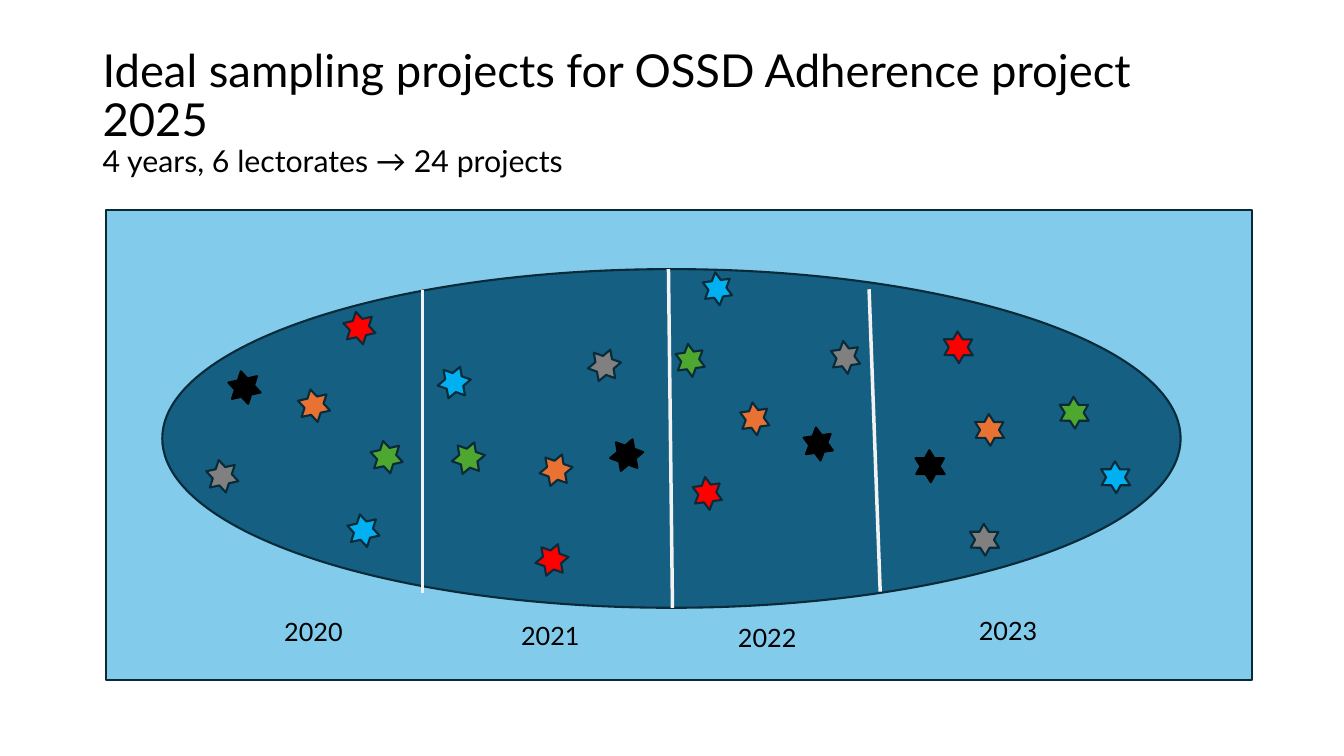
from lxml.etree import SubElement
from pptx import Presentation
from pptx.dml.color import RGBColor
from pptx.enum.shapes import MSO_CONNECTOR, MSO_SHAPE
from pptx.enum.text import MSO_ANCHOR
from pptx.oxml.ns import qn
from pptx.util import Inches, Pt

COLORS = {
    "text": "000000",
    "outline": "092A39",
    "panel": "83CBEB",
    "population": "156082",
    "divider": "F2F2F2",
    "black": "000000",
    "red": "FF0000",
    "gray": "808080",
    "orange": "E97132",
    "green": "4EA72E",
    "blue": "00B0F0",
}

LECTORATES = ["black", "red", "gray", "orange", "green", "blue"]

YEARS = [
    {"label": "2020", "label_at": (27.2, 60.7), "star_width": 2.9, "rotation": 347.4,
     "stars": [(22.8, 36.8), (34.2, 30.9), (20.6, 45.6),
               (29.7, 38.6), (36.9, 43.7), (34.6, 51)]},
    {"label": "2021", "label_at": (50.7, 61.1), "star_width": 2.9, "rotation": 140,
     "stars": [(60.7, 43.5), (53.3, 53.9), (58.5, 34.6),
               (53.7, 45), (45, 43.8), (43.6, 36.3)]},
    {"label": "2022", "label_at": (72.2, 61.2), "star_width": 2.7, "rotation": 172.2,
     "stars": [(79.8, 42.4), (68.8, 47.3), (82.5, 33.8),
               (73.5, 39.9), (67.1, 34.1), (69.8, 27)]},
    {"label": "2023", "label_at": (96.1, 60.6), "star_width": 2.7, "rotation": 298.8,
     "stars": [(90.9, 44.6), (93.7, 32.8), (96.3, 51.9),
               (96.8, 41), (105.2, 39.3), (109.3, 45.7)]},
]

DIVIDERS = [
    ((41.9, 28.8), (41.9, 58.8)),
    ((86.2, 28.7), (87.3, 58.7)),
    ((66.3, 26.7), (66.7, 60.3)),
]


class SlideBuilder:
    font = "Lato"
    cell = 0.1
    line_width = Pt(1.5)

    def __init__(self, page):
        self.page = page

    def grid(self, *cells):
        return [Inches(count * self.cell) for count in cells]

    def color(self, name):
        return RGBColor.from_string(COLORS[name])

    def shape(self, kind, area, fill, outline="outline", rotation=0, group=None):
        parent = group or self.page
        shape = parent.shapes.add_shape(kind, *self.grid(*area))
        shape.shadow.inherit = False
        shape.rotation = rotation
        shape.fill.solid()
        shape.fill.fore_color.rgb = self.color(fill)
        shape.line.color.rgb = self.color(outline)
        shape.line.width = self.line_width

    def divider(self, start, end):
        connector = self.page.shapes.add_connector(
            MSO_CONNECTOR.STRAIGHT, *self.grid(*start, *end))
        connector.line.color.rgb = self.color("divider")
        connector.line.width = Pt(2.5)
        SubElement(connector._element.spPr, qn("a:effectLst"))

    def text(self, area, text, sizes, anchor=MSO_ANCHOR.TOP, spacing=1.0):
        box = self.page.shapes.add_textbox(*self.grid(*area))
        box.text_frame.word_wrap = True
        box.text_frame.vertical_anchor = anchor
        para = box.text_frame.paragraphs[0]
        para.text = text
        para.line_spacing = spacing
        for span, size in zip(para.runs, sizes):
            span.font.name = self.font
            span.font.size = Pt(size)
            span.font.color.rgb = self.color("text")

    def year(self, label, label_at, star_width, rotation, stars):
        group = self.page.shapes.add_group_shape()
        for lectorate, position in zip(LECTORATES, stars):
            outline = "black" if lectorate == "black" else "outline"
            self.shape(MSO_SHAPE.STAR_6_POINT, (*position, star_width, 3.3),
                       lectorate, outline, rotation, group)
        self.text((*label_at, 14.2, 4), label, [18])


def main():
    deck = Presentation()
    deck.slide_width = Inches(13.33)
    deck.slide_height = Inches(7.5)
    builder = SlideBuilder(deck.slides.add_slide(deck.slide_layouts[6]))

    builder.text(
        (9.2, 4, 115, 14.5),
        "Ideal sampling projects for OSSD Adherence project 2025\v"
        "4 years, 6 lectorates → 24 projects",
        [32.4, 21.6], MSO_ANCHOR.MIDDLE, 0.9)
    builder.shape(MSO_SHAPE.RECTANGLE, (10.5, 20.8, 113.7, 46.7), "panel")
    builder.shape(MSO_SHAPE.OVAL, (16.1, 26.7, 101, 33.6), "population")
    for start, end in DIVIDERS:
        builder.divider(start, end)
    for year in YEARS:
        builder.year(**year)

    deck.save("out.pptx")


if __name__ == "__main__":
    main()
